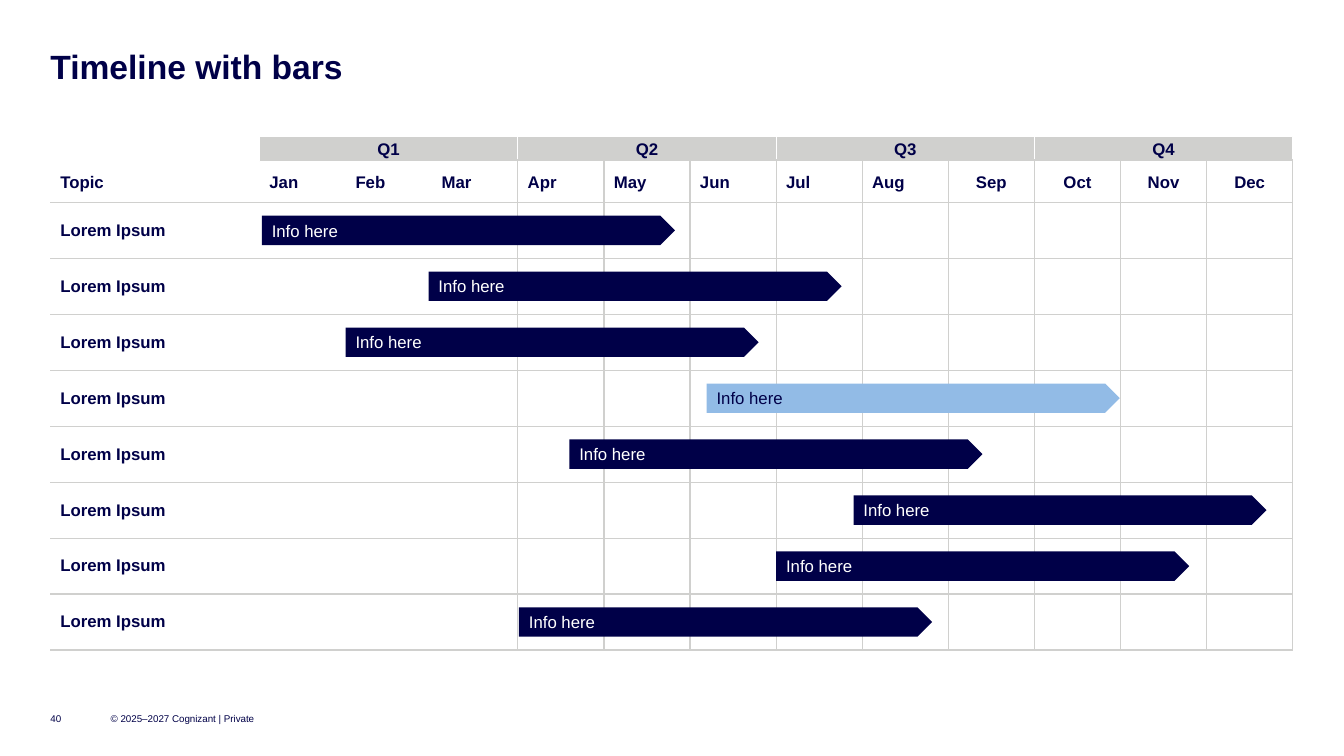
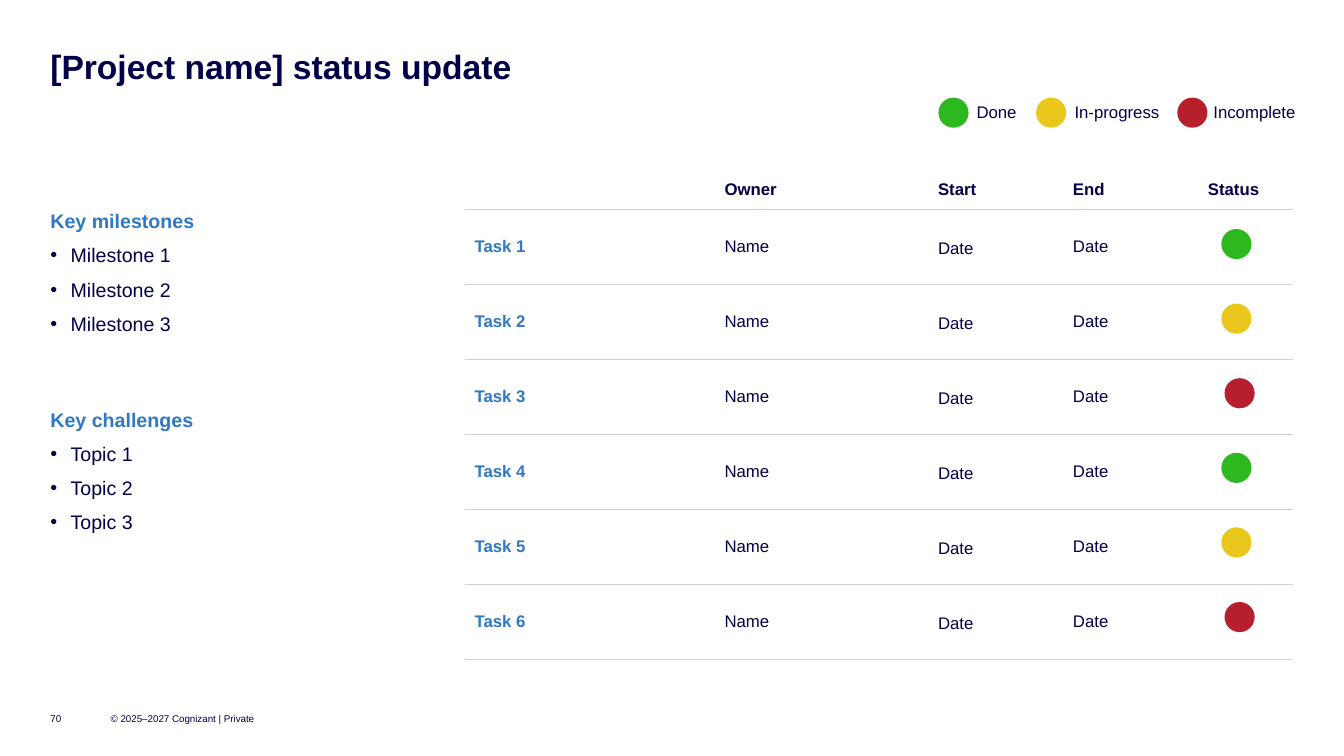
"""Build a timeline slide and a project status slide."""
from dataclasses import dataclass, replace
from typing import Any, Optional

from lxml import etree
from pptx import Presentation
from pptx.dml.color import RGBColor
from pptx.enum.shapes import MSO_SHAPE
from pptx.enum.text import MSO_ANCHOR, PP_ALIGN
from pptx.oxml.ns import qn
from pptx.slide import Slide
from pptx.table import Table
from pptx.util import Cm, Pt

RECTANGLE, ARROW_BAR, OVAL = MSO_SHAPE.RECTANGLE, MSO_SHAPE.PENTAGON, MSO_SHAPE.OVAL
TOP, MIDDLE, BOTTOM = MSO_ANCHOR.TOP, MSO_ANCHOR.MIDDLE, MSO_ANCHOR.BOTTOM
LEFT, CENTER = PP_ALIGN.LEFT, PP_ALIGN.CENTER
PLAIN_TABLE_STYLE = "{2D5ABB26-0587-4C30-8999-92F81FD0307C}"
BLANK_LAYOUT = 6


@dataclass(frozen=True)
class Theme:
    font: str = "Arial"
    navy: str = "000048"
    blue: str = "2F78C4"
    light_blue: str = "92BBE6"
    grey: str = "D0D0CE"
    white: str = "FFFFFF"
    green: str = "2DB81F"
    yellow: str = "E9C71D"
    red: str = "B81F2D"
    title_size: int = 24
    list_size: int = 14
    body_size: int = 12
    footer_size: int = 7
    rule_width: float = 1
    outline_width: float = 0.75
    margin: float = 1.27
    content_width: float = 31.32
    inset: float = 0.25


THEME = Theme()


@dataclass(frozen=True)
class TextStyle:
    size: int = THEME.body_size
    color: str = THEME.navy
    bold: bool = False
    align: Any = LEFT
    line_spacing: float = 1.0
    space_before: int = 0
    bullet: bool = False


BODY = TextStyle()
LOOSE = replace(BODY, line_spacing=1.2)
BOLD = replace(BODY, bold=True)
BOLD_CENTER = replace(BOLD, align=CENTER)
TASK = replace(BOLD, color=THEME.blue)
TITLE = TextStyle(THEME.title_size, bold=True, line_spacing=0.9)
FOOTER = TextStyle(THEME.footer_size)
LIST_HEADING = TextStyle(THEME.list_size, THEME.blue, True, line_spacing=1.1)
LIST_ITEM = TextStyle(THEME.list_size, line_spacing=1.1, space_before=6, bullet=True)


@dataclass(frozen=True)
class Box:
    left: float
    top: float
    width: float
    height: float

    def lengths(self) -> tuple[Cm, ...]:
        return tuple(Cm(value) for value in (self.left, self.top, self.width, self.height))


@dataclass(frozen=True)
class Line:
    text: str
    style: TextStyle = BODY


@dataclass(frozen=True)
class Bar:
    left: float
    fill: str = THEME.navy
    color: str = THEME.white


@dataclass(frozen=True)
class State:
    label: str
    fill: str
    legend_left: float
    label_left: float
    status_left: float


@dataclass(frozen=True)
class ListBlock:
    top: float
    heading: str
    items: tuple[str, ...]


BARS = (Bar(6.6), Bar(10.8), Bar(8.71), Bar(17.81, THEME.light_blue, THEME.navy),
        Bar(14.35), Bar(21.51), Bar(19.56), Bar(13.08))
MONTHS = ("Jan", "Feb", "Mar", "Apr", "May", "Jun",
          "Jul", "Aug", "Sep", "Oct", "Nov", "Dec")
CENTERED_MONTHS = MONTHS[8:]
RULED_COLUMNS = frozenset({3, 4, 6, 7, 9, 10, 12})
STATES = (State("Done", THEME.green, 23.65, 24.61, 30.78),
          State("In-progress", THEME.yellow, 26.11, 27.08, 30.78),
          State("Incomplete", THEME.red, 29.67, 30.58, 30.86))
LISTS = (ListBlock(5.21, "Key milestones", ("Milestone 1", "Milestone 2", "Milestone 3")),
         ListBlock(10.21, "Key challenges", ("Topic 1", "Topic 2", "Topic 3")))
TABLE_TOP = 4.01
TASK_COUNT = 6
DOT_SIZE = 0.76


def apply_format(target: Any, values: dict[str, Any]) -> None:
    for name, value in values.items():
        setattr(target, name, value)


def box_format(inset: float, anchor: Any) -> dict[str, Any]:
    sides = ("left", "right", "top", "bottom")
    return {"vertical_anchor": anchor} | {f"margin_{side}": Cm(inset) for side in sides}


def add_bullet(paragraph: Any) -> None:
    properties = paragraph._p.get_or_add_pPr()
    properties.set("marL", str(Cm(0.51)))
    properties.set("indent", str(Cm(-0.51)))
    color = etree.SubElement(properties, qn("a:buClr"))
    etree.SubElement(color, qn("a:srgbClr"), val=THEME.navy)
    etree.SubElement(properties, qn("a:buFont"), typeface=THEME.font)
    etree.SubElement(properties, qn("a:buChar"), char="•")


def write_lines(frame: Any, lines: list[Line]) -> None:
    for index, line in enumerate(lines):
        paragraph = frame.paragraphs[0] if index == 0 else frame.add_paragraph()
        style = line.style
        if style.bullet:
            add_bullet(paragraph)
        apply_format(paragraph, {"alignment": style.align, "line_spacing": style.line_spacing,
                                 "space_before": Pt(style.space_before)})
        run = paragraph.add_run()
        run.text = line.text
        apply_format(run.font, {"name": THEME.font, "size": Pt(style.size), "bold": style.bold})
        run.font.color.rgb = RGBColor.from_string(style.color)


def add_text(slide: Slide, box: Box, lines: list[Line], anchor: Any = TOP) -> None:
    frame = slide.shapes.add_textbox(*box.lengths()).text_frame
    apply_format(frame, {"word_wrap": True} | box_format(0, anchor))
    write_lines(frame, lines)


def add_filled_shape(slide: Slide, kind: Any, box: Box, fill: str,
                     line: Optional[Line] = None, outline: Optional[str] = None,
                     inset: float = 0) -> None:
    shape = slide.shapes.add_shape(kind, *box.lengths())
    shape.shadow.inherit = False
    shape.fill.solid()
    shape.fill.fore_color.rgb = RGBColor.from_string(fill)
    if outline:
        shape.line.color.rgb = RGBColor.from_string(outline)
        shape.line.width = Pt(THEME.outline_width)
    else:
        shape.line.fill.background()
    if line:
        apply_format(shape.text_frame, {"word_wrap": True} | box_format(inset, MIDDLE))
        write_lines(shape.text_frame, [line])


def add_dot(slide: Slide, left: float, top: float, fill: str) -> None:
    add_filled_shape(slide, OVAL, Box(left, top, DOT_SIZE, DOT_SIZE), fill)


def rule_cell(cell: Any, sides: dict[str, bool]) -> None:
    properties = cell._tc.get_or_add_tcPr()
    for side, shown in sides.items():
        if shown:
            border = etree.SubElement(properties, qn(f"a:ln{side}"), w=str(Pt(THEME.rule_width)))
            fill = etree.SubElement(border, qn("a:solidFill"))
            etree.SubElement(fill, qn("a:srgbClr"), val=THEME.grey)


def add_ruled_table(slide: Slide, left: float, widths: list[float], heights: list[float],
                    rows: list[list[Optional[Line]]],
                    ruled_columns: frozenset[int] = frozenset()) -> Table:
    box = Box(left, TABLE_TOP, sum(widths), sum(heights))
    graphic = slide.shapes.add_table(len(heights), len(widths), *box.lengths())
    for style_id in graphic.element.iter(qn("a:tableStyleId")):
        style_id.text = PLAIN_TABLE_STYLE
    table = graphic.table
    apply_format(table, {"first_row": False, "horz_banding": False})
    for column, width in zip(table.columns, widths):
        column.width = Cm(width)
    for row, height in zip(table.rows, heights):
        row.height = Cm(height)
    for row_index, lines in enumerate(rows):
        for column_index, line in enumerate(lines):
            cell = table.cell(row_index, column_index)
            rule_cell(cell, {"L": column_index - 1 in ruled_columns,
                             "R": column_index in ruled_columns,
                             "T": row_index > 0, "B": True})
            cell.fill.background()
            apply_format(cell, box_format(THEME.inset, MIDDLE if row_index else BOTTOM))
            if line:
                write_lines(cell.text_frame, [line])
    return table


def start_slide(presentation: Any, title: str, number: int) -> Slide:
    slide = presentation.slides.add_slide(presentation.slide_layouts[BLANK_LAYOUT])
    add_text(slide, Box(THEME.margin, 1.27, THEME.content_width, 0.91), [Line(title, TITLE)])
    add_text(slide, Box(THEME.margin, 17.78, 1.02, 0.64), [Line(str(number), FOOTER)], MIDDLE)
    add_text(slide, Box(2.79, 17.78, 4.2, 0.64),
             [Line("© 2025–2027 Cognizant | Private", FOOTER)], MIDDLE)
    return slide


def build_timeline(presentation: Any) -> None:
    slide = start_slide(presentation, "Timeline with bars", 40)
    topic_width, month_width = 5.27, 2.17
    header_height, row_height = 1.09, 1.41
    quarter_width = 3 * month_width
    for index in range(4):
        left = THEME.margin + topic_width + index * quarter_width
        add_filled_shape(slide, RECTANGLE, Box(left, 3.43, quarter_width, 0.64), THEME.grey,
                         Line(f"Q{index + 1}", BOLD_CENTER), THEME.white)
    header = [Line("Topic", BOLD)] + [
        Line(month, BOLD_CENTER if month in CENTERED_MONTHS else BOLD) for month in MONTHS]
    topic_row = [Line("Lorem Ipsum", BOLD)] + [None] * len(MONTHS)
    add_ruled_table(slide, THEME.margin, [topic_width] + [month_width] * len(MONTHS),
                    [header_height] + [row_height] * len(BARS),
                    [header] + [topic_row] * len(BARS), RULED_COLUMNS)
    bar_height = 0.74
    first_top = TABLE_TOP + header_height + (row_height - bar_height) / 2
    for index, bar in enumerate(BARS):
        box = Box(bar.left, first_top + index * row_height, 10.41, bar_height)
        add_filled_shape(slide, ARROW_BAR, box, bar.fill,
                         Line("Info here", replace(BODY, color=bar.color)), inset=THEME.inset)


def build_status(presentation: Any) -> None:
    slide = start_slide(presentation, "[Project name] status update", 70)
    for block in LISTS:
        lines = [Line(block.heading, LIST_HEADING)]
        lines += [Line(item, LIST_ITEM) for item in block.items]
        add_text(slide, Box(THEME.margin, block.top, 8.89, 3.89), lines)
    for state in STATES:
        add_dot(slide, state.legend_left, 2.46, state.fill)
        add_text(slide, Box(state.label_left, 2.57, 2.3, 0.51), [Line(state.label)])
    header = [None] + [Line(name, BOLD) for name in ("Owner", "Start", "End", "Status")]
    tasks = [[Line(f"Task {number}", TASK), Line("Name"), Line("Date", LOOSE),
              Line("Date"), None] for number in range(1, TASK_COUNT + 1)]
    add_ruled_table(slide, 11.71, [6.3, 5.38, 3.4, 3.4, 2.39],
                    [1.17] + [1.89] * TASK_COUNT, [header] + tasks)
    for index in range(TASK_COUNT):
        state = STATES[index % len(STATES)]
        add_dot(slide, state.status_left, 5.77 + 1.88 * index, state.fill)


def main() -> None:
    presentation = Presentation()
    apply_format(presentation, {"slide_width": Cm(33.87), "slide_height": Cm(19.05)})
    build_timeline(presentation)
    build_status(presentation)
    presentation.save("out.pptx")


if __name__ == "__main__":
    main()
